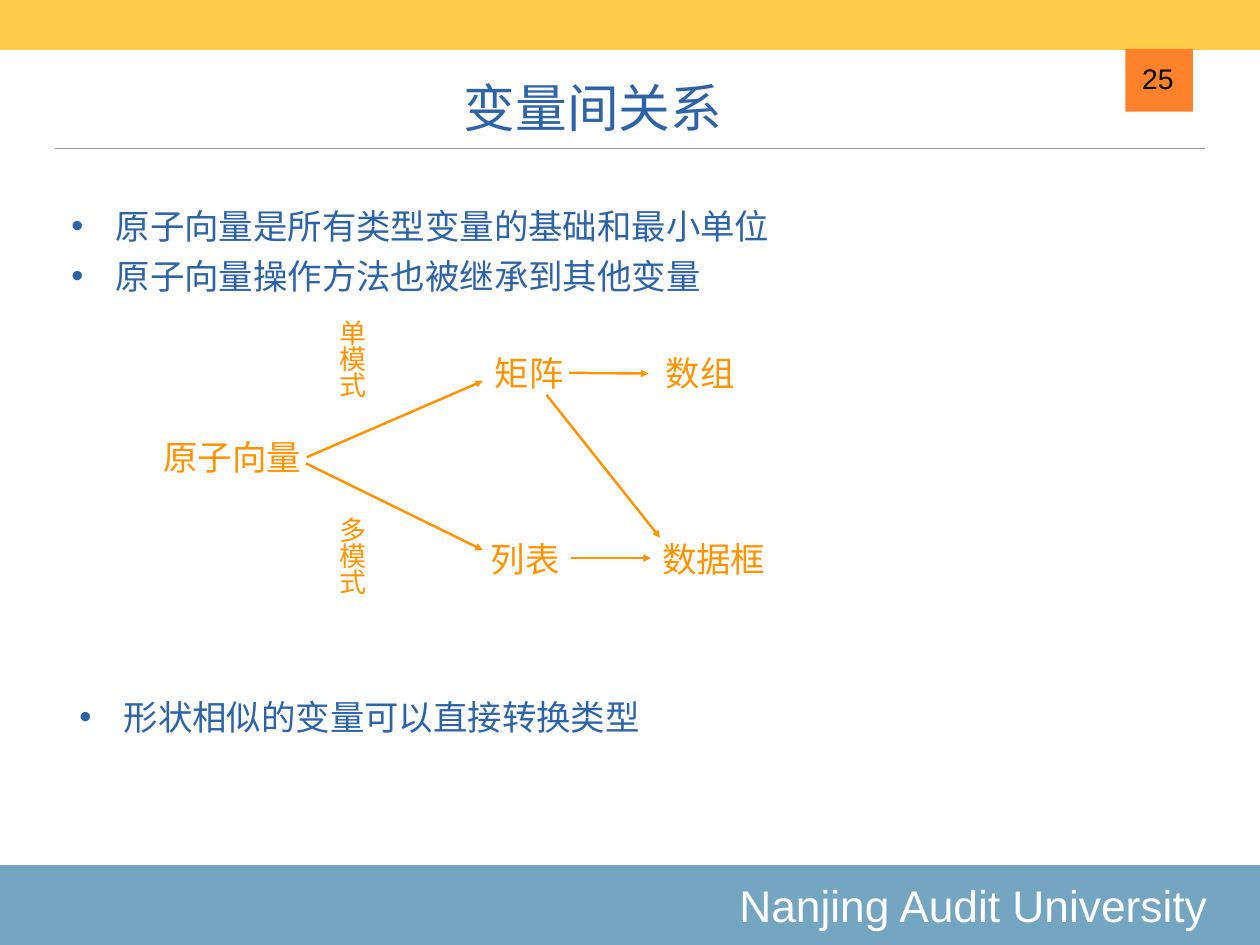
from lxml import etree
from pptx import Presentation
from pptx.dml.color import RGBColor
from pptx.enum.shapes import MSO_CONNECTOR, MSO_SHAPE
from pptx.enum.text import MSO_ANCHOR, MSO_AUTO_SIZE, PP_ALIGN
from pptx.oxml.ns import qn
from pptx.util import Pt

RECTANGLE = MSO_SHAPE.RECTANGLE
STRAIGHT = MSO_CONNECTOR.STRAIGHT
MIDDLE, BOTTOM = MSO_ANCHOR.MIDDLE, MSO_ANCHOR.BOTTOM
LEFT, CENTER, RIGHT = PP_ALIGN.LEFT, PP_ALIGN.CENTER, PP_ALIGN.RIGHT
NO_AUTOFIT = MSO_AUTO_SIZE.NONE

WIDTH, HEIGHT = 1024, 768
INSET = 4.5
RIGHT_SIDE = 3


def color(value):
    return RGBColor.from_string(value)


def write(frame, lines, size=28, font="Courier New", fill="FF9300", align=LEFT,
          anchor=MIDDLE, wrap=True, spacing=None, indent=0, right_inset=INSET):
    """Fill a text frame with one paragraph per line; an indent adds bullets."""
    frame.word_wrap = wrap
    frame.auto_size = NO_AUTOFIT
    frame.vertical_anchor = anchor
    frame.margin_left = frame.margin_top = frame.margin_bottom = Pt(INSET)
    frame.margin_right = Pt(right_inset)
    for index, line in enumerate(lines):
        paragraph = frame.add_paragraph() if index else frame.paragraphs[0]
        paragraph.alignment = align
        paragraph.space_before = Pt(0)
        if spacing:
            paragraph.line_spacing = spacing
        if indent:
            properties = paragraph._p.get_or_add_pPr()
            properties.set("marL", str(Pt(indent)))
            properties.set("indent", str(-Pt(indent)))
            etree.SubElement(properties, qn("a:buFont")).set("typeface", "Arial")
            etree.SubElement(properties, qn("a:buChar")).set("char", "•")
        run = paragraph.add_run()
        run.text = line
        run.font.size = Pt(size)
        run.font.name = font
        run.font.color.rgb = color(fill)


class SlideBuilder:
    blue, orange = "2C64A7", "FF9300"

    def __init__(self, presentation):
        self.slide = presentation.slides.add_slide(presentation.slide_layouts[5])
        self.shapes = self.slide.shapes

    def title(self, text, left, top, width, height):
        shape = self.shapes.title
        shape.left, shape.top = Pt(left), Pt(top)
        shape.width, shape.height = Pt(width), Pt(height)
        write(shape.text_frame, [text], size=42, font="Arial", fill=self.blue,
              align=CENTER, anchor=BOTTOM)

    def band(self, left, top, width, height, fill):
        shape = self.shapes.add_shape(RECTANGLE, Pt(left), Pt(top), Pt(width), Pt(height))
        shape.shadow.inherit = False
        shape.fill.solid()
        shape.fill.fore_color.rgb = color(fill)
        shape.line.fill.background()
        return shape

    def text(self, lines, left, top, width, height, **style):
        shape = self.shapes.add_textbox(Pt(left), Pt(top), Pt(width), Pt(height))
        write(shape.text_frame, lines, **style)
        return shape

    def bullets(self, lines, left, top, width, height):
        self.text(lines, left, top, width, height, fill=self.blue, spacing=1.2, indent=36)

    def line(self, start, end, fill, width):
        connector = self.shapes.add_connector(STRAIGHT, *map(Pt, start + end))
        connector.line.color.rgb = color(fill)
        connector.line.width = Pt(width)
        etree.SubElement(connector._element.spPr, qn("a:effectLst"))
        return connector

    def arrow(self, start, end, source=None):
        connector = self.line(start, end, self.orange, 2)
        outline = connector.line._get_or_add_ln()
        etree.SubElement(outline, qn("a:tailEnd")).set("type", "triangle")
        if source is not None:
            connector.begin_connect(source, RIGHT_SIDE)


def main():
    presentation = Presentation()
    presentation.slide_width, presentation.slide_height = Pt(WIDTH), Pt(HEIGHT)
    builder = SlideBuilder(presentation)

    # Frame: rule, footer, top band and page number
    builder.line((44.5, 120.8), (979, 120.8), "9A9A9A", 1)
    footer = builder.band(-1, 703, WIDTH + 2, 65, "74A6C2")
    write(footer.text_frame, ["Nanjing Audit University"], size=36, font="Arial",
          fill="FFFFFF", align=RIGHT, right_inset=44)
    builder.band(-1, 0, WIDTH + 2, 40.5, "FECC49")
    builder.band(914.5, 39.8, 55, 51, "FE812C")
    builder.text(["25"], 936.5, 46.8, 21.8, 35.3, size=23, font="Arial",
                 fill="000000", align=RIGHT, anchor=BOTTOM, wrap=False)

    # Title and statements
    builder.title("变量间关系", 60, 44.5, 844, 72)
    builder.bullets(["原子向量是所有类型变量的基础和最小单位", "原子向量操作方法也被继承到其他变量"],
                    53.5, 157, 923, 86.5)
    builder.bullets(["形状相似的变量可以直接转换类型"], 60, 556, 923, 46)

    # Variable types
    nodes = {
        name: builder.text([name], *box, wrap=False)
        for name, box in {
            "原子向量": (128.2, 350.6, 121, 42),
            "矩阵": (397.5, 279, 65, 48),
            "数组": (536.5, 279, 65, 48),
            "列表": (394.5, 430, 65, 48),
            "数据框": (533.5, 430, 93, 48),
        }.items()
    }

    # Mode labels, one character per line
    for label, top in (("单模式", 251.3), ("多模式", 411)):
        builder.text([label], 271.5, top, 36.7, 85.7, size=22, spacing=0.8)

    # Relations between the types
    builder.arrow((249, 373.5), (392.4, 309.6), nodes["原子向量"])
    builder.arrow((248.5, 376.5), (392.4, 447))
    builder.arrow((462.5, 303.6), (527, 303.6), nodes["矩阵"])
    builder.arrow((464, 453.6), (529, 453.6))
    builder.arrow((444.2, 321), (536.4, 437))

    presentation.save("out.pptx")


if __name__ == "__main__":
    main()
